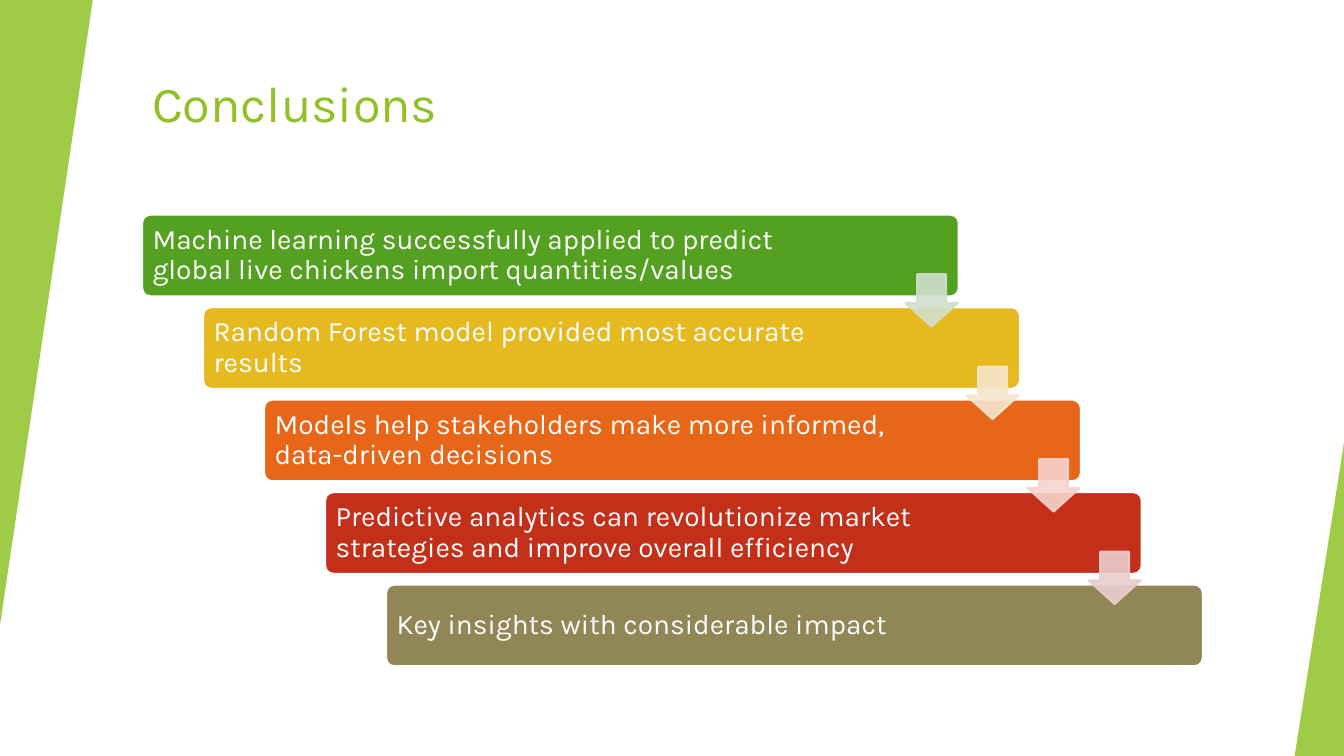
from lxml.etree import SubElement
from pptx import Presentation
from pptx.dml.color import RGBColor
from pptx.enum.shapes import MSO_SHAPE
from pptx.enum.text import MSO_ANCHOR, PP_ALIGN
from pptx.oxml.ns import qn
from pptx.util import Inches, Pt


def paint(fill, color, opacity=100):
    """Give a fill a solid hex colour at a percentage of opacity."""
    fill.solid()
    fill.fore_color.rgb = RGBColor.from_string(color)
    if opacity < 100:
        color_node = fill._xPr.find(qn("a:solidFill"))[0]
        SubElement(color_node, qn("a:alpha"), val=str(opacity * 1000))


def add_plain_shape(kind, left, top, width, height, adjustments):
    shape = page.shapes.add_shape(
        kind, Inches(left), Inches(top), Inches(width), Inches(height))
    shape.shadow.inherit = False
    for index, value in enumerate(adjustments):
        shape.adjustments[index] = value
    return shape


deck = Presentation()
deck.slide_width, deck.slide_height = Inches(13.33), Inches(7.5)
page = deck.slides.add_slide(deck.slide_layouts[6])

# Title
title = page.shapes.add_textbox(Inches(1.41), Inches(0.67), Inches(11.15), Inches(1.2))
title.text_frame.word_wrap = True
para = title.text_frame.paragraphs[0]
para.text = "Conclusions"
para.font.name = "Karla"
para.font.size = Pt(36)
para.font.color.rgb = RGBColor.from_string("90C226")

# Green wedges at the slide edges
for left, top, width, height, rotation in [
    (0, 0, 0.92, 6.2, 180),
    (12.84, 4.39, 0.49, 3.11, 0),
]:
    wedge = add_plain_shape(MSO_SHAPE.ISOSCELES_TRIANGLE, left, top, width, height, [1])
    wedge.rotation = rotation
    paint(wedge.fill, "90C226", 85)
    wedge.line.fill.background()

# Staircase of conclusions
conclusions = [
    ("Machine learning successfully applied to predict global live chickens "
     "import quantities/values", "54A021"),
    ("Random Forest model provided most accurate results", "E6B91E"),
    ("Models help stakeholders make more informed, data-driven decisions", "E76618"),
    ("Predictive analytics can revolutionize market strategies and improve "
     "overall efficiency", "C42F1A"),
    ("Key insights with considerable impact", "918655"),
]
first_left, first_top = 1.41, 2.13
step_right = (3.83 - first_left) / 4
step_down = (5.8 - first_top) / 4

for step, (text, color) in enumerate(conclusions):
    bar = add_plain_shape(
        MSO_SHAPE.ROUNDED_RECTANGLE, first_left + step * step_right,
        first_top + step * step_down, 8.1, 0.81, [0.1])
    paint(bar.fill, color)
    paint(bar.line.fill, "FFFFFF")
    bar.line.width = Pt(1.5)
    frame = bar.text_frame
    frame.word_wrap = True
    frame.vertical_anchor = MSO_ANCHOR.MIDDLE
    frame.margin_left = frame.margin_top = frame.margin_bottom = Inches(0.08)
    frame.margin_right = Inches(1.2)
    para = frame.paragraphs[0]
    para.text = text
    para.alignment = PP_ALIGN.LEFT
    para.line_spacing = 0.9
    para.font.name = "Karla"
    para.font.size = Pt(20)
    para.font.color.rgb = RGBColor.from_string("FFFFFF")

# Arrows from each bar to the next, above all bars
for step, color in enumerate(["D1DFCD", "F5E6CD", "F6D3CC", "EACDCD"]):
    arrow = add_plain_shape(
        MSO_SHAPE.DOWN_ARROW, first_left + 7.57 + step * step_right,
        first_top + 0.59 + step * step_down, 0.52, 0.52, [0.55, 0.45])
    paint(arrow.fill, color, 90)
    paint(arrow.line.fill, color, 90)
    arrow.line.width = Pt(1.5)

deck.save("out.pptx")
